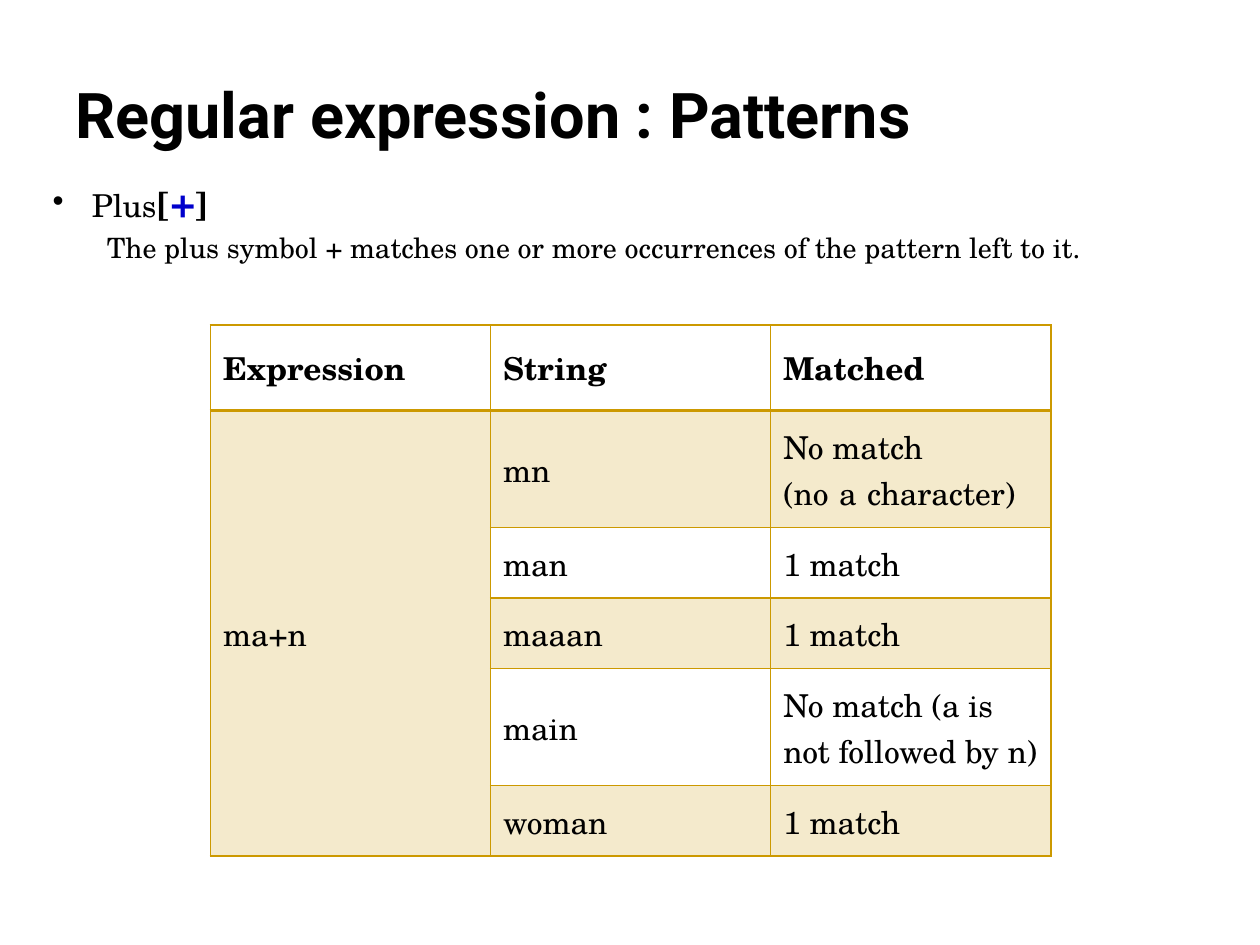
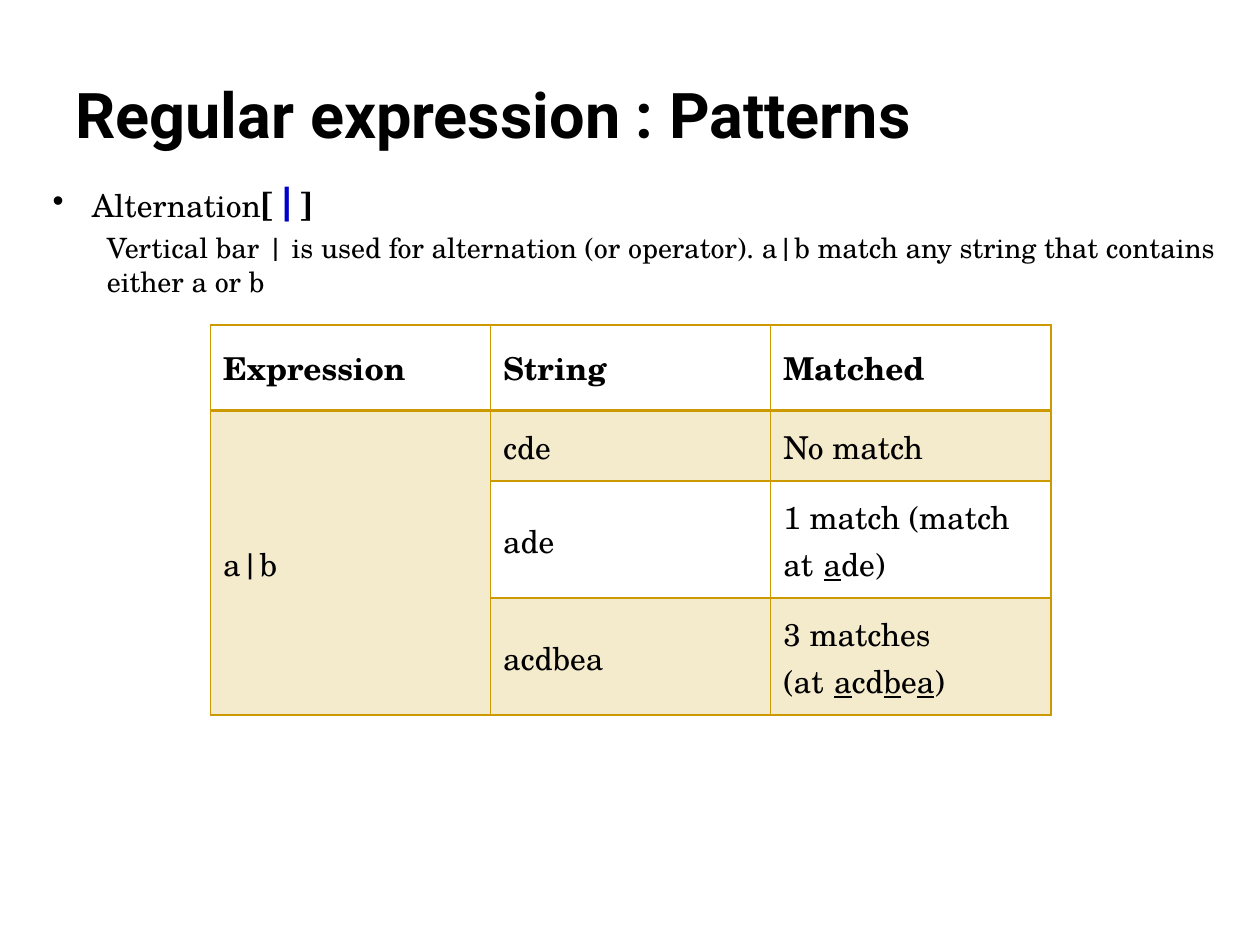
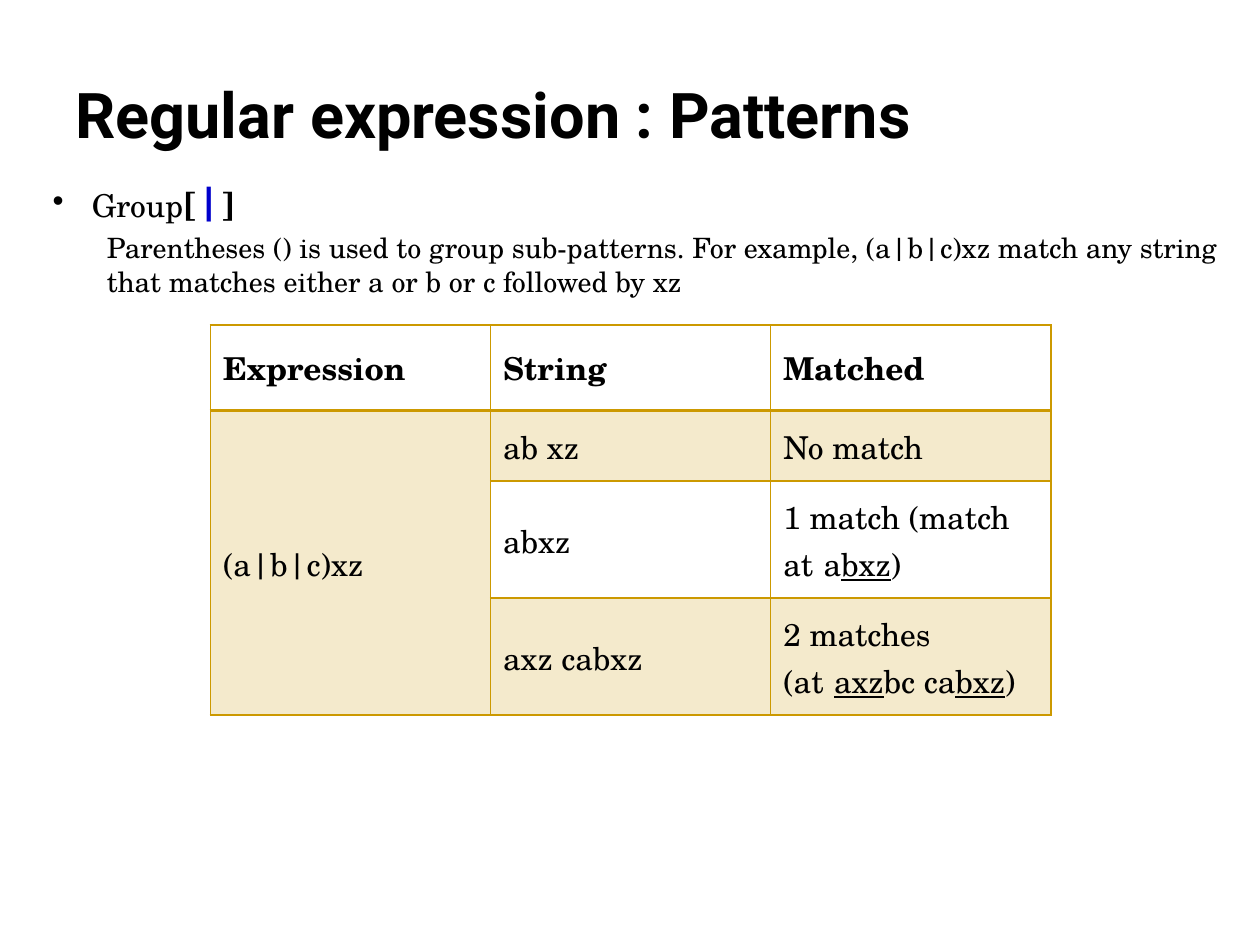
from lxml import etree
from pptx import Presentation
from pptx import util as u
from pptx.dml.color import RGBColor
from pptx.enum import text
from pptx.oxml import ns

BLACK, BLUE, GOLD = "000000", "0000CC", "CC9900"
TITLE_FONT, BODY_FONT = "Roboto", "TeX Gyre Schola"
HEADINGS = ["Expression", "String", "Matched"]
TABLE_WIDTH, ROW_HEIGHT = 6.67, 0.41
NO_BREAK_SPACE = chr(160)

# In table texts, underscores enclose underlined parts and ~ is a no-break space.
PATTERNS = [
    ("Plus", "+",
     "The plus symbol + matches one or more occurrences of the pattern left to it.",
     "ma+n",
     [("mn", "No match (no~a~character)"),
      ("man", "1 match"),
      ("maaan", "1 match"),
      ("main", "No match (a is not followed by n)"),
      ("woman", "1 match")]),
    ("Alternation", "|",
     "Vertical bar | is used for alternation (or operator). "
     "a|b match any string that contains either a or b",
     "a|b",
     [("cde", "No match"),
      ("ade", "1 match (match at~_a_de)"),
      ("acdbea", "3 matches (at~_a_cd_b_e_a_)")]),
    ("Group", "|",
     "Parentheses () is used to group sub-patterns. For example, "
     "(a|b|c)xz match any string that matches either a or b or c followed by xz",
     "(a|b|c)xz",
     [("ab xz", "No match"),
      ("abxz", "1 match (match at~a_bxz_)"),
      ("axz cabxz", "2 matches (at~_axz_bc ca_bxz_)")]),
]


def set_font(font, name, size, bold=False, color=BLACK):
    font.name, font.size, font.bold = name, u.Pt(size), bold
    font.color.rgb = RGBColor.from_string(color)


def add_child(parent, tag, **attributes):
    return etree.SubElement(parent, ns.qn(tag), attributes)


deck = Presentation()
deck.slide_width, deck.slide_height = u.Inches(10), u.Inches(7.5)

for name, symbol, explanation, expression, examples in PATTERNS:
    page = deck.slides.add_slide(deck.slide_layouts[6])

    title = page.shapes.add_textbox(
        u.Inches(0.5), u.Inches(0.08), u.Inches(7.42), u.Inches(1.17)).text_frame
    title.word_wrap = True
    title.vertical_anchor = text.MSO_ANCHOR.BOTTOM
    title.text = "Regular expression : Patterns"
    set_font(title.paragraphs[0].font, TITLE_FONT, 36, bold=True)

    body = page.shapes.add_textbox(
        u.Inches(0.25), u.Inches(1.34), u.Inches(9.75), u.Inches(6.16)).text_frame
    body.word_wrap = True
    topic, detail = body.paragraphs[0], body.add_paragraph()
    for words, size, bold, color in [(name, 18, False, BLACK), ("[", 20, True, BLACK),
                                     (symbol, 24, True, BLUE), ("]", 20, True, BLACK)]:
        span = topic.add_run()
        span.text = words
        set_font(span.font, BODY_FONT, size, bold, color)
    detail.text = explanation
    detail.level = 1
    set_font(detail.font, BODY_FONT, 16)
    for para, margin, indent in [(topic, 0.38, -0.31), (detail, 0.5, 0)]:
        para.space_before = u.Pt(3)
        layout = para._p.get_or_add_pPr()
        layout.set("marL", str(u.Inches(margin)))
        layout.set("indent", str(u.Inches(indent)))
    bullet = topic._p.get_or_add_pPr()
    add_child(add_child(bullet, "a:buClr"), "a:srgbClr", val=BLACK)
    add_child(bullet, "a:buFont", typeface="Arial")
    add_child(bullet, "a:buChar", char="•")

    rows = [HEADINGS] + [(expression if i == 0 else "", *example)
                         for i, example in enumerate(examples)]
    table = page.shapes.add_table(
        len(rows), len(HEADINGS), u.Inches(1.67), u.Inches(2.58),
        u.Inches(TABLE_WIDTH), u.Inches(ROW_HEIGHT * len(rows))).table
    table.first_row = table.horz_banding = False
    table.cell(1, 0).merge(table.cell(len(rows) - 1, 0))

    for row, entries in enumerate(rows):
        header = row == 0
        table.rows[row].height = u.Inches(ROW_HEIGHT)
        for column, entry in enumerate(entries):
            cell = table.cell(row, column)
            cell.vertical_anchor = text.MSO_ANCHOR.MIDDLE
            cell.margin_left, cell.margin_right = u.Inches(0.1), u.Inches(0.08)
            cell.margin_top = u.Inches(0.16 if header else 0.1)
            cell.margin_bottom = u.Inches(0.15 if header else 0.09)

            para = cell.text_frame.paragraphs[0]
            para.line_spacing = u.Pt(26.6)
            set_font(para.font, BODY_FONT, 18, bold=header)
            for i, words in enumerate(entry.replace("~", NO_BREAK_SPACE).split("_")):
                if words:
                    span = para.add_run()
                    span.text = words
                    span.font.underline = i % 2 == 1

            properties = cell._tc.get_or_add_tcPr()
            for side in "LRTB":
                thick = (row, side) in [(0, "B"), (1, "T")]
                border = add_child(properties, f"a:ln{side}", w=str(u.Pt(2 if thick else 1)))
                add_child(add_child(border, "a:solidFill"), "a:srgbClr", val=GOLD)
            if row % 2:
                cell.fill.solid()
                cell.fill.fore_color.rgb = RGBColor.from_string(GOLD)
                tint = properties.find(ns.qn("a:solidFill"))[0]
                add_child(tint, "a:alpha", val="20000")
            else:
                cell.fill.background()

deck.save("out.pptx")
